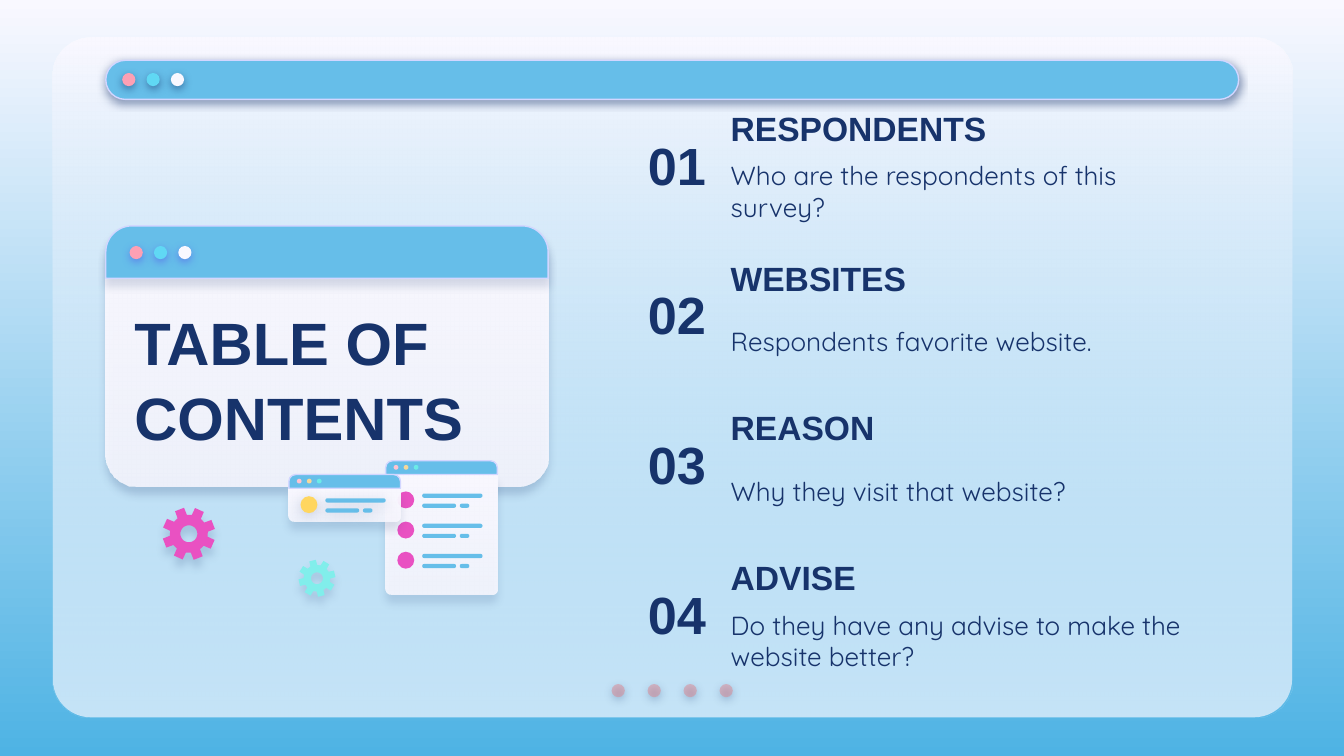
from math import cos, radians, sin

from lxml import etree
from pptx import Presentation
from pptx.dml.color import RGBColor
from pptx.enum.shapes import MSO_SHAPE
from pptx.enum.text import MSO_ANCHOR, PP_ALIGN
from pptx.oxml.ns import qn
from pptx.util import Cm, Pt

OVAL = MSO_SHAPE.OVAL
ROUNDED = MSO_SHAPE.ROUNDED_RECTANGLE
TWO_ROUNDED = MSO_SHAPE.ROUND_2_SAME_RECTANGLE
LEFT, RIGHT = PP_ALIGN.LEFT, PP_ALIGN.RIGHT
MIDDLE = MSO_ANCHOR.MIDDLE

COLORS = {
    "navy": "17336B", "blue": "66BEE9", "deep_blue": "4EB3E4", "white": "F9F8FF",
    "lilac": "D2D6FF", "violet": "5352EE", "rose": "E27B83", "pink": "FDA0B4",
    "cyan": "60D8F4", "pale_pink": "FFC3D0", "sand": "F5D79B", "aqua": "6AEBE7",
    "magenta": "E951C2", "yellow": "FFD65F", "mint": "81EEEB",
}
WINDOW_DOTS = ["pink", "cyan", "white"]
CARD_DOTS = ["pale_pink", "sand", "aqua"]

# Shadows: colour, opacity %, blur and distance in points
DOT_SHADOW = ("navy", 50, 4.5, 1.5)
ROW_SHADOW = ("navy", 18, 6.8, 1.5)

SECTIONS = [
    ("RESPONDENTS", "Who are the respondents of this survey?"),
    ("WEBSITES", "Respondents favorite website."),
    ("REASON", "Why they visit that website?"),
    ("ADVISE", "Do they have any advise to make the website better?"),
]


def rgb(name):
    return RGBColor.from_string(COLORS[name])


def set_alpha(color_element, percent):
    etree.SubElement(color_element, qn("a:alpha"), val=str(percent * 1000))


def fill_gradient(fill, top, bottom):
    fill.gradient()
    fill.gradient_angle = 270
    for stop, name in zip(fill.gradient_stops, (top, bottom)):
        stop.color.rgb = rgb(name)


def style(shape, color, to=None, alpha=100, line=None, shadow=None):
    """Fill a shape; alpha applies to the last colour of the fill."""
    if to:
        fill_gradient(shape.fill, color, to)
    else:
        shape.fill.solid()
        shape.fill.fore_color.rgb = rgb(color)
    properties = shape.element.spPr
    if alpha < 100:
        set_alpha(list(properties.iter(qn("a:srgbClr")))[-1], alpha)
    if line:
        shape.line.color.rgb = rgb(line)
        shape.line.width = Pt(0.75)
    else:
        shape.line.fill.background()
    shape.shadow.inherit = False
    if shadow:
        name, opacity, blur, distance = shadow
        outer = etree.SubElement(
            properties.find(qn("a:effectLst")), qn("a:outerShdw"),
            blurRad=str(Pt(blur)), dist=str(Pt(distance)), dir="5400000",
            algn="bl", rotWithShape="0")
        set_alpha(etree.SubElement(outer, qn("a:srgbClr"), val=COLORS[name]), opacity)


def add_shape(slide, kind, left, top, width, height, color, corners=(), **look):
    shape = slide.shapes.add_shape(kind, Cm(left), Cm(top), Cm(width), Cm(height))
    for index, corner in enumerate(corners):
        shape.adjustments[index] = corner
    style(shape, color, **look)


def add_dots(slide, left, top, size, gap, colors, **look):
    for index, color in enumerate(colors):
        add_shape(slide, OVAL, left + index * gap, top, size, size, color, **look)


def add_text(slide, text, left, top, width, height, size, font="Arial", bold=True,
             align=LEFT, spacing=None):
    frame = slide.shapes.add_textbox(Cm(left), Cm(top), Cm(width), Cm(height)).text_frame
    frame.word_wrap = True
    frame.vertical_anchor = MIDDLE
    frame.margin_left = frame.margin_right = Cm(0.25)
    frame.margin_top = frame.margin_bottom = Cm(0.25)
    paragraph = frame.paragraphs[0]
    paragraph.alignment = align
    if spacing:
        paragraph.line_spacing = spacing
    run = paragraph.add_run()
    run.text = text
    run.font.name = font
    run.font.size = Pt(size)
    run.font.bold = bold
    run.font.color.rgb = rgb("navy")


def add_panel(slide):
    box = (1, 0.71, 23.42, 12.85)
    add_shape(slide, ROUNDED, *box, "white", corners=[0.056])
    add_shape(slide, ROUNDED, *box, "white", corners=[0.056], to="blue", alpha=35)
    add_dots(slide, 11.56, 12.93, 0.25, 0.68, ["rose"] * 4, alpha=44, shadow=DOT_SHADOW)
    add_shape(slide, ROUNDED, 2, 1.14, 21.41, 0.74, "blue", corners=[0.5],
              line="lilac", shadow=DOT_SHADOW)
    add_dots(slide, 2.31, 1.38, 0.25, 0.46, WINDOW_DOTS, shadow=DOT_SHADOW)


def add_title_window(slide):
    add_shape(slide, ROUNDED, 2, 4.27, 8.36, 4.93, "white", corners=[0.124],
              to="white", alpha=87, shadow=("navy", 22, 4.5, 3.8))
    add_shape(slide, TWO_ROUNDED, 2, 4.27, 8.36, 0.99, "blue", corners=[0.5, 0],
              line="lilac", shadow=("navy", 15, 4.5, 3.8))
    add_dots(slide, 2.45, 4.65, 0.25, 0.46, WINDOW_DOTS, shadow=("violet", 50, 4.5, 1.5))
    add_text(slide, "TABLE OF CONTENTS", 2.29, 5.66, 7.87, 2.95, 32, spacing=1.05)


def add_card(slide, left, top, height, first_row, rows, bullet, shadow=None):
    """Small browser window with rows of a bullet and three bars."""
    width, header, radius = 2.11, 0.26, 0.13
    body = height - header
    add_shape(slide, TWO_ROUNDED, left, top + header, width, body, "white",
              corners=[0, radius / min(width, body)], to="white", alpha=87,
              shadow=("navy", 15, 4.5, 4.5))
    add_shape(slide, TWO_ROUNDED, left, top, width, header, "blue",
              corners=[0.5, 0], line="lilac")
    add_dots(slide, left + 0.15, top + 0.08, 0.09, 0.19, CARD_DOTS)
    for row in range(rows):
        row_top = top + first_row + row * 0.57
        add_shape(slide, OVAL, left + 0.22, row_top, 0.32, 0.32, bullet, shadow=shadow)
        for x, y, length in [(0.69, 0.04, 1.14), (0.69, 0.23, 0.64), (1.4, 0.23, 0.18)]:
            add_shape(slide, ROUNDED, left + x, row_top + y, length, 0.08, "blue",
                      corners=[0.5], shadow=shadow)


def add_gear(slide, center_x, center_y, radius, tilt, color, shadow):
    """Eight-toothed gear with a round hole."""
    def point(angle, distance):
        return (Cm(center_x + distance * cos(radians(angle))),
                Cm(center_y + distance * sin(radians(angle))))

    root = 0.72 * radius
    rim = [point(tilt + 45 * tooth + offset, distance) for tooth in range(8)
           for offset, distance in [(-15, root), (-10.5, radius), (10.5, radius), (15, root)]]
    hole = [point(-angle, 0.32 * radius) for angle in range(0, 360, 10)]
    builder = slide.shapes.build_freeform(*rim[0])
    builder.add_line_segments(rim[1:])
    builder.move_to(*hole[0])
    builder.add_line_segments(hole[1:])
    style(builder.convert_to_shape(), color, shadow=shadow)


def add_section(slide, number, heading, description):
    top = 1.91 + (number - 1) * 2.83
    add_text(slide, f"{number:02}", 10.85, top, 2.74, 2.39, 28, align=RIGHT)
    add_text(slide, heading, 13.56, top, 9.7, 1.02, 18)
    add_text(slide, description, 13.56, top + 1.02, 9.4, 1.37, 14,
             font="Quicksand", bold=False)


def main():
    presentation = Presentation()
    presentation.slide_width, presentation.slide_height = Cm(25.4), Cm(14.29)
    slide = presentation.slides.add_slide(presentation.slide_layouts[6])
    fill_gradient(slide.background.fill, "white", "deep_blue")

    add_panel(slide)
    add_title_window(slide)
    for number, (heading, description) in enumerate(SECTIONS, start=1):
        add_section(slide, number, heading, description)
    add_card(slide, 7.29, 8.71, 2.53, 0.58, 3, "magenta")
    add_card(slide, 5.46, 8.97, 0.89, 0.41, 1, "yellow", shadow=ROW_SHADOW)
    add_gear(slide, 3.57, 10.09, 0.5, -111, "magenta", ("navy", 16, 4.5, 4.5))
    add_gear(slide, 5.99, 10.93, 0.35, -104, "mint", ("navy", 15, 4.5, 3.8))

    presentation.save("out.pptx")


if __name__ == "__main__":
    main()
